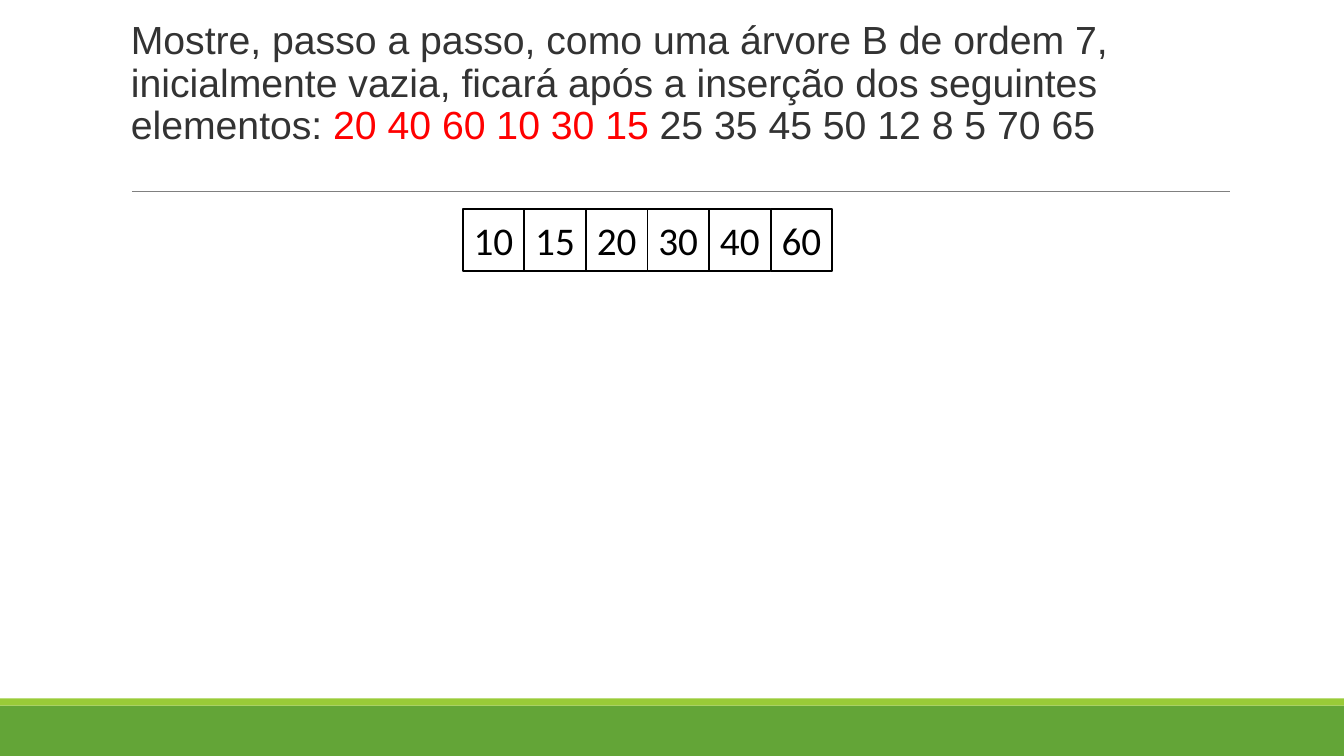
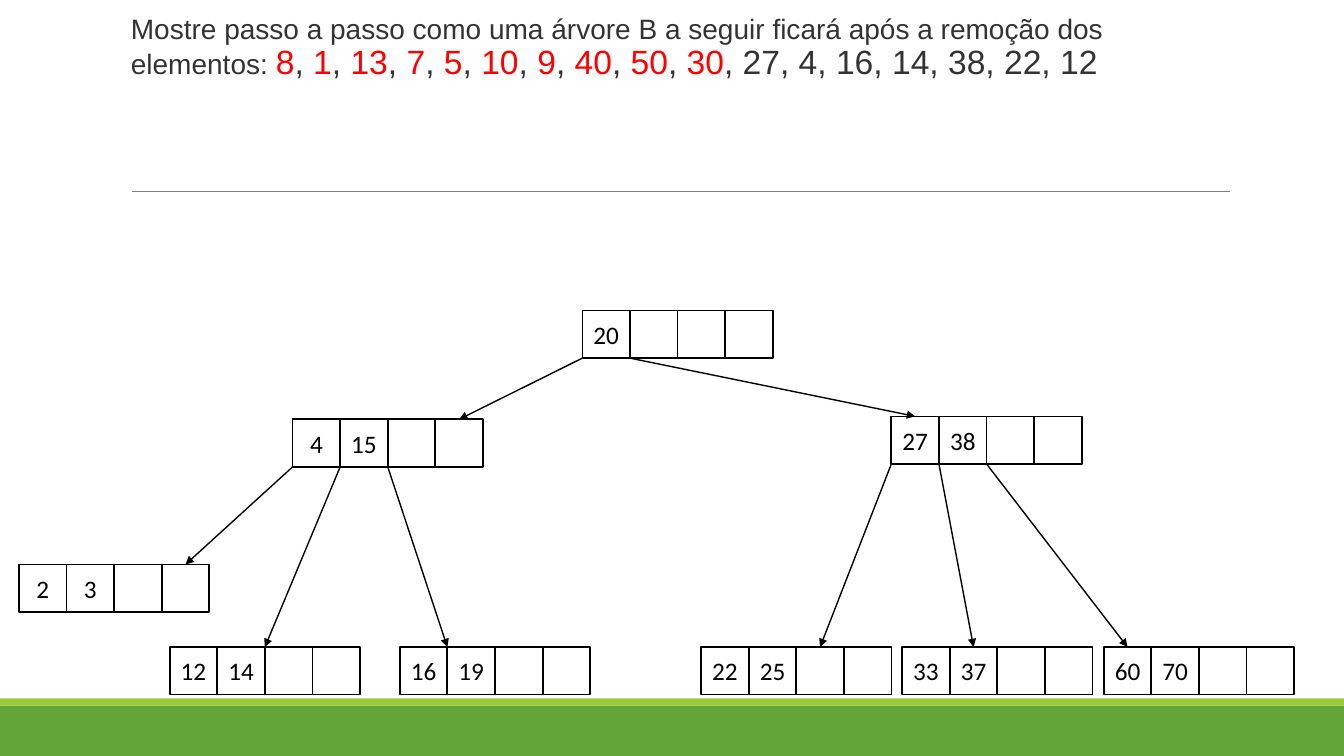
"""Build two slides on inserting into and removing from a B-tree."""
import dataclasses
import typing

import lxml.etree
import pptx
import pptx.dml.color
import pptx.enum.shapes
import pptx.enum.text
import pptx.oxml.ns
import pptx.util

Pt = pptx.util.Pt
WIDTH, HEIGHT = 960, 540
COLORS = {
    "green": "63A537",
    "lime": "99CB38",
    "rule": "808080",
    "text": "333333",
    "mark": "FF0000",
    "ink": "000000",
    "paper": "FFFFFF",
}


@dataclasses.dataclass(frozen=True)
class Title:
    top: float
    height: float
    lead: str
    items: str
    small: int
    large: int


@dataclasses.dataclass(frozen=True)
class Node:
    left: float
    top: float
    keys: tuple[int, ...]
    slots: int = 4
    side: float = 34
    size: int = 18


@dataclasses.dataclass(frozen=True)
class Link:
    start: str
    gap: int
    end: str
    reach: float


INSERT = Title(11.5, 102, "Mostre, passo a passo, como uma árvore B de ordem 7, "
               "inicialmente vazia, ficará após a inserção dos seguintes elementos: ",
               "*20 40 60 10 30 15* 25 35 45 50 12 8 5 70 65", 28, 28)
REMOVE = Title(7.2, 74, "Mostre passo a passo como uma árvore B a seguir "
               "ficará após a remoção dos elementos: ",
               "*8*, *1*, *13*, *7*, *5*, *10*, *9*, *40*, *50*, *30*, "
               "27, 4, 16, 14, 38, 22, 12", 20, 24)
PAGE = Node(330.5, 149.5, (10, 15, 20, 30, 40, 60), 6, 44, 28)
BASE = 462.2
TREE = {
    "root": Node(416, 221.8, (20,)),
    "right": Node(636.7, 297.4, (27, 38)),
    "left": Node(209, 299.5, (4, 15)),
    "a": Node(13.5, 403.2, (2, 3)),
    "b": Node(121.2, BASE, (12, 14)),
    "c": Node(285.6, BASE, (16, 19)),
    "d": Node(500.8, BASE, (22, 25)),
    "e": Node(644.4, BASE, (33, 37)),
    "f": Node(788.4, BASE, (60, 70)),
}
LINKS = (
    Link("root", 0, "left", 3.5),
    Link("root", 1, "right", 0.5),
    Link("left", 0, "a", 3.5),
    Link("left", 1, "b", 2),
    Link("left", 2, "c", 1),
    Link("right", 0, "d", 2.5),
    Link("right", 1, "e", 1.5),
    Link("right", 2, "f", 0.5),
)


def tint(name: str) -> pptx.dml.color.RGBColor:
    return pptx.dml.color.RGBColor.from_string(COLORS[name])


def put(frame: typing.Any, text: str, *, size: float, font: str, color: str,
        align: typing.Any = pptx.enum.text.PP_ALIGN.LEFT, pitch: float = 1) -> None:
    para = frame.paragraphs[0]
    para.alignment = align
    para.line_spacing = pitch
    for place, part in enumerate(text.split("*")):
        if part:
            run = para.add_run()
            run.text = part
            run.font.size = Pt(size)
            run.font.name = font
            run.font.color.rgb = tint("mark" if place % 2 else color)


def box(shapes: typing.Any, left: float, top: float, width: float, height: float,
        fill: str, line: str | None = None) -> typing.Any:
    shape = shapes.add_shape(pptx.enum.shapes.MSO_SHAPE.RECTANGLE,
                             Pt(left), Pt(top), Pt(width), Pt(height))
    shape.shadow.inherit = False
    shape.fill.solid()
    shape.fill.fore_color.rgb = tint(fill)
    if line:
        shape.line.color.rgb = tint(line)
        shape.line.width = Pt(1.25)
    else:
        shape.line.fill.background()
    return shape


def rule(shapes: typing.Any, start: tuple[float, float], end: tuple[float, float],
         color: str, width: float, arrow: bool = False) -> None:
    line = shapes.add_connector(pptx.enum.shapes.MSO_CONNECTOR.STRAIGHT,
                                Pt(start[0]), Pt(start[1]), Pt(end[0]), Pt(end[1]))
    line.line.color.rgb = tint(color)
    line.line.width = Pt(width)
    props = line.element.spPr
    qn = pptx.oxml.ns.qn
    if arrow:
        lxml.etree.SubElement(props.find(qn("a:ln")), qn("a:tailEnd"), type="triangle")
    lxml.etree.SubElement(props, qn("a:effectLst"))


def node(shapes: typing.Any, data: Node) -> None:
    group = shapes.add_group_shape().shapes
    for slot in range(data.slots):
        cell = box(group, data.left + slot * data.side, data.top,
                   data.side, data.side, "paper", "ink")
        if slot < len(data.keys):
            frame = cell.text_frame
            frame.margin_left = frame.margin_right = 0
            frame.margin_top = frame.margin_bottom = 0
            frame.vertical_anchor = pptx.enum.text.MSO_ANCHOR.MIDDLE
            put(frame, str(data.keys[slot]), size=data.size, font="Calibri",
                color="ink", align=pptx.enum.text.PP_ALIGN.CENTER)


def link(shapes: typing.Any, data: Link) -> None:
    start, end = TREE[data.start], TREE[data.end]
    rule(shapes, (start.left + data.gap * start.side, start.top + start.side),
         (end.left + data.reach * end.side, end.top), "ink", 1, arrow=True)


def page(deck: typing.Any, title: Title) -> typing.Any:
    shapes = deck.slides.add_slide(deck.slide_layouts[6]).shapes
    box(shapes, 0, 504, WIDTH, 36, "green")
    box(shapes, 0, 498.8, WIDTH, 5.2, "lime")
    rule(shapes, (94.2, 136.6), (878.8, 136.6), "rule", 0.5)
    frame = shapes.add_textbox(Pt(86.4), Pt(title.top), Pt(792), Pt(title.height)).text_frame
    frame.word_wrap = True
    frame.margin_left, frame.margin_right = Pt(7.2), 0
    for text, size in ((title.lead, title.small), (title.items, title.large)):
        put(frame, text, size=size, font="Arial", color="text", pitch=0.9)
    return shapes


def main() -> None:
    deck = pptx.Presentation()
    deck.slide_width, deck.slide_height = Pt(WIDTH), Pt(HEIGHT)
    node(page(deck, INSERT), PAGE)
    shapes = page(deck, REMOVE)
    for data in TREE.values():
        node(shapes, data)
    for data in LINKS:
        link(shapes, data)
    deck.save("out.pptx")


if __name__ == "__main__":
    main()
